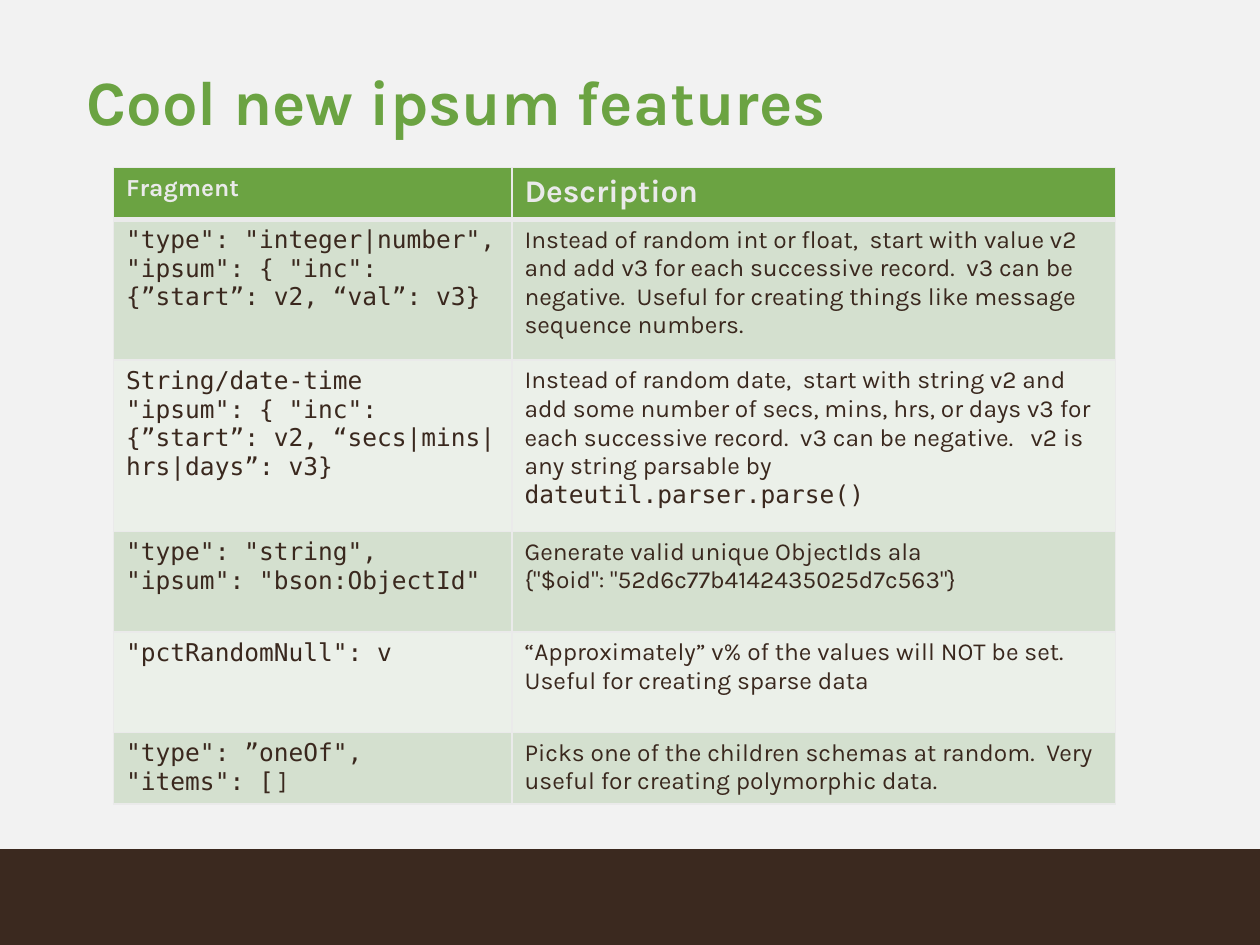
from lxml.etree import SubElement
from pptx import Presentation
from pptx.dml.color import RGBColor
from pptx.enum.shapes import MSO_SHAPE as Shape
from pptx.enum.text import MSO_ANCHOR as Anchor
from pptx.oxml.ns import qn
from pptx.util import Cm, Pt

KARLA, MONO = "Karla", "DejaVu Sans Mono"
GREEN, BROWN, INK, PALE = "6BA342", "3B291F", "3A281E", "EAEAEA"
BANDS = ["EBF0E9", "D4E0CF"]


def paint(fill, colour):
    fill.solid()
    fill.fore_color.rgb = RGBColor.from_string(colour)


def add_run(paragraph, text, colour, **formats):
    run = paragraph.add_run()
    run.text = text
    paint(run.font.fill, colour)
    for name, value in formats.items():
        setattr(run.font, name, value)


presentation = Presentation()
presentation.slide_width, presentation.slide_height = Cm(25.4), Cm(19.05)
slide = presentation.slides.add_slide(presentation.slide_layouts[6])
paint(slide.background.fill, "F2F2F2")

footer = slide.shapes.add_shape(Shape.RECTANGLE, 0, Cm(17.12), Cm(25.4), Cm(1.93))
footer.shadow.inherit = False
footer.line.fill.background()
paint(footer.fill, BROWN)

title = slide.shapes.add_textbox(Cm(1.75), Cm(0.94), Cm(21.95), Cm(2.36)).text_frame
title_format = {
    "word_wrap": True, "vertical_anchor": Anchor.MIDDLE,
    "margin_left": 0, "margin_top": 0, "margin_right": 0, "margin_bottom": 0,
}
for name, value in title_format.items():
    setattr(title, name, value)
title.paragraphs[0].line_spacing = 0.9
add_run(title.paragraphs[0], "Cool new ipsum features", GREEN, name=KARLA, size=Pt(36), bold=True)

# A backtick switches between the column font and the other font.
features = [
    ("Fragment", "Description"),
    ('"type": "integer|number",\n"ipsum": { "inc": {”start”: v2, “val”: v3}',
     "Instead of random int or float,  start with value v2 and add v3 for each successive "
     "record.  v3 can be negative.  Useful for creating things like message sequence numbers."),
    ('String/date-time\n"ipsum": { "inc": {”start”: v2, “secs|mins|hrs|days”: v3}',
     "Instead of random date,  start with string v2 and add some number of secs, mins, hrs, "
     "or days v3 for each successive record.  v3 can be negative.   v2 is any string "
     "parsable by `dateutil.parser.parse()"),
    ('"type": "string",\n"ipsum": "bson:ObjectId"',
     'Generate valid unique ObjectIds ala\n{"$oid": "52d6c77b4142435025d7c563"}'),
    ('"pctRandomNull": v',
     "“Approximately” v% of the values will NOT be set.  Useful for creating sparse data"),
    ('"type": ”oneOf",\n"items": [` ]',
     "Picks one of the children schemas at random.  Very useful for creating polymorphic data."),
]
column_widths = [8.03, 12.17]
row_heights = [1.04, 2.84, 3.45, 2.03, 2.03, 1.4]

table = slide.shapes.add_table(
    len(row_heights), len(column_widths), Cm(2.29), Cm(3.38),
    Cm(sum(column_widths)), Cm(sum(row_heights)),
).table
for column, width in zip(table.columns, column_widths):
    column.width = Cm(width)

for row_index, (row, height, texts) in enumerate(zip(table.rows, row_heights, features)):
    row.height = Cm(height)
    header = row_index == 0
    for column_index, (cell, text) in enumerate(zip(row.cells, texts)):
        properties = cell._tc.get_or_add_tcPr()
        for side in ("L", "R", "T", "B"):
            heavy = (row_index, side) in [(0, "B"), (1, "T")]
            border = SubElement(properties, qn(f"a:ln{side}"), w=str(Pt(3 if heavy else 1)))
            SubElement(SubElement(border, qn("a:solidFill")), qn("a:srgbClr"), val=PALE)
        paint(cell.fill, GREEN if header else BANDS[row_index % 2])

        fonts = [KARLA, MONO] if header or column_index else [MONO, KARLA]
        size = Pt(18 if header and column_index else 14)
        for line_index, line in enumerate(text.split("\n")):
            frame = cell.text_frame
            paragraph = frame.add_paragraph() if line_index else frame.paragraphs[0]
            for font, part in zip(fonts, line.split("`")):
                add_run(paragraph, part, PALE if header else INK, name=font, size=size, bold=header)

presentation.save("out.pptx")
